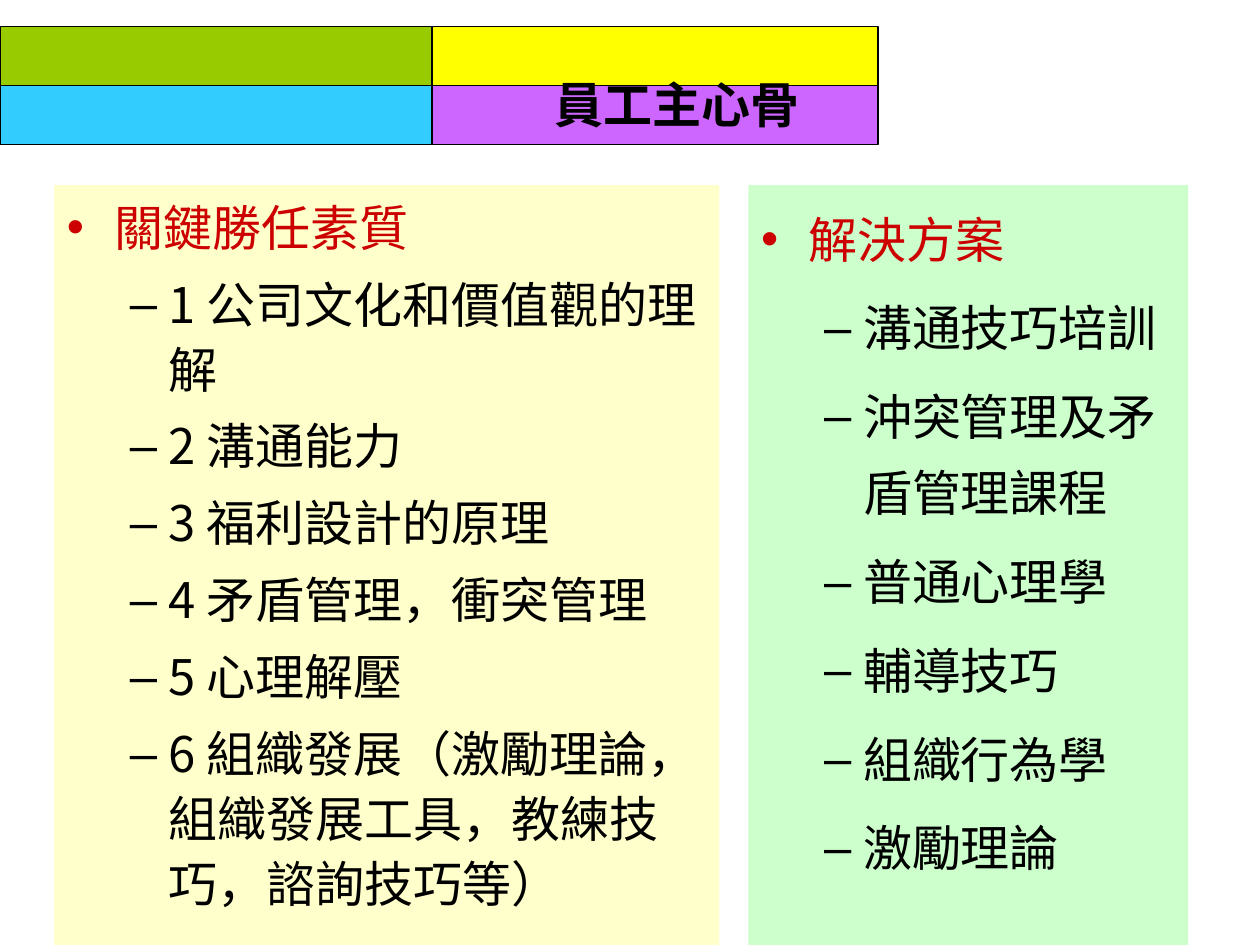
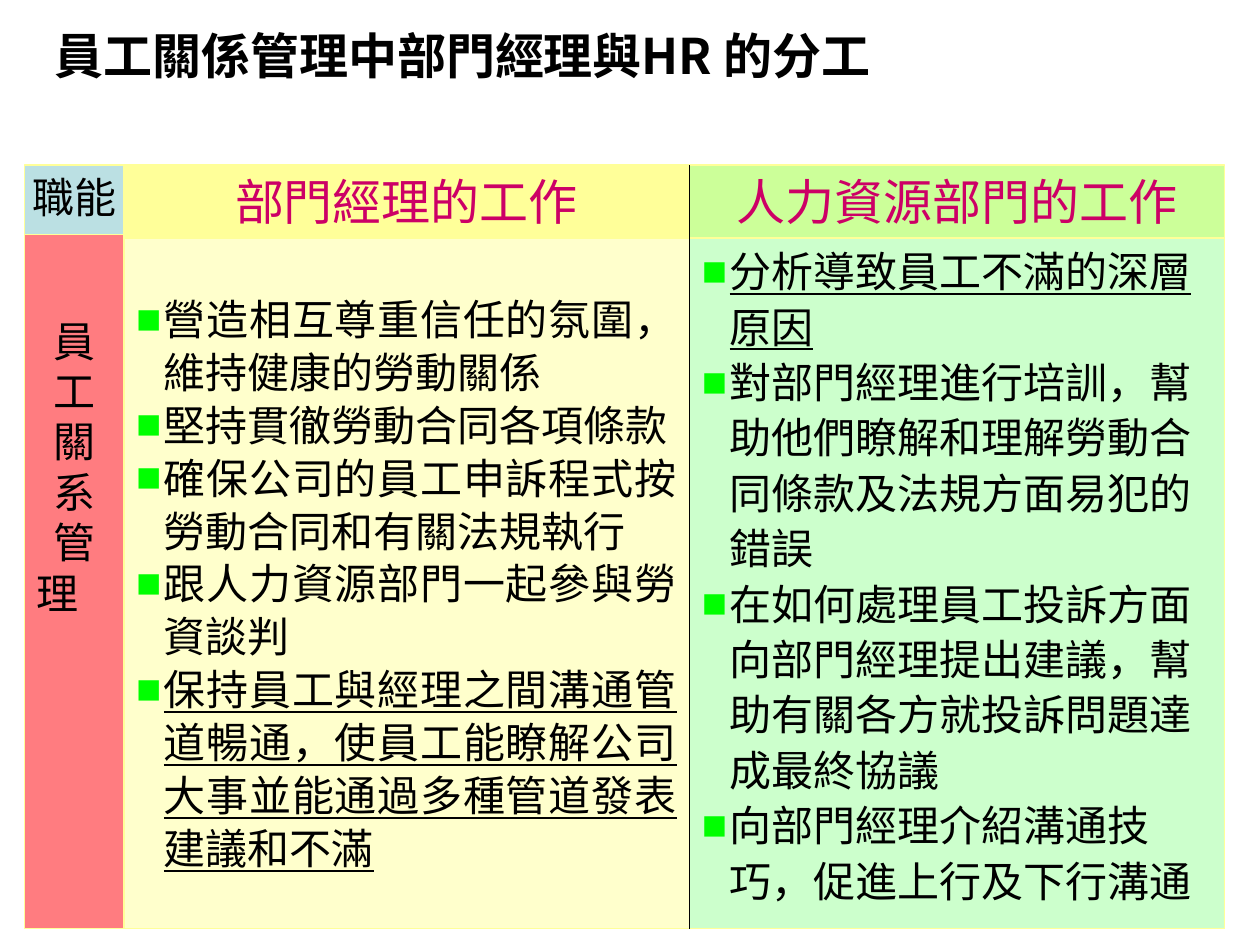
"""Build two slides on employee relations and the roles around them."""
from dataclasses import dataclass

from lxml import etree
from pptx import Presentation
from pptx.dml.color import RGBColor
from pptx.enum.shapes import MSO_CONNECTOR, MSO_SHAPE
from pptx.enum.text import MSO_ANCHOR, MSO_AUTO_SIZE, PP_ALIGN
from pptx.oxml.ns import qn
from pptx.util import Inches, Pt

RECTANGLE = MSO_SHAPE.RECTANGLE
STRAIGHT = MSO_CONNECTOR.STRAIGHT
LEFT, CENTER, JUSTIFY = PP_ALIGN.LEFT, PP_ALIGN.CENTER, PP_ALIGN.JUSTIFY
TOP, MIDDLE = MSO_ANCHOR.TOP, MSO_ANCHOR.MIDDLE
NO_AUTOSIZE = MSO_AUTO_SIZE.NONE
COLUMNS, ROWS = 100, 75
TWO_CONTENT_LAYOUT = 3


@dataclass(frozen=True)
class Theme:
    black: str = "000000"
    red: str = "CC0000"
    magenta: str = "CC0066"
    bullet_green: str = "00FF00"
    cream: str = "FFFFCC"
    mint: str = "CCFFCC"
    pale_yellow: str = "FFFF99"
    pale_lime: str = "CCFF99"
    pale_blue: str = "BBE0E3"
    coral: str = "FF7C80"
    band_green: str = "99CC00"
    band_yellow: str = "FFFF00"
    band_blue: str = "33CCFF"
    band_purple: str = "CC66FF"
    font: str = "Noto Sans CJK JP"
    list_font: str = "Noto Sans CJK SC"
    banner_font: str = "Arial"
    large: int = 28
    normal: int = 24
    line_width: float = 0.75


@dataclass(frozen=True)
class ListStyle:
    bullet: str
    color: str
    bullet_color: str
    margin: float
    hanging: float
    level: int = 0


class Deck:
    """Hold the style and the current slide, and draw each kind of element."""

    def __init__(self, theme):
        self.theme = theme
        self.presentation = Presentation()
        self.presentation.slide_width = Inches(10)
        self.presentation.slide_height = Inches(7.5)
        self.slide = None

    def new_slide(self):
        layout = self.presentation.slide_layouts[TWO_CONTENT_LAYOUT]
        self.slide = self.presentation.slides.add_slide(layout)

    def column(self, count):
        return round(self.presentation.slide_width * count / COLUMNS)

    def row(self, count):
        return round(self.presentation.slide_height * count / ROWS)

    def area(self, left, top, width, height):
        return self.column(left), self.row(top), self.column(width), self.row(height)

    def place(self, shape, area):
        shape.left, shape.top, shape.width, shape.height = self.area(*area)

    def paint(self, shape, fill, line=None):
        shape.fill.solid()
        shape.fill.fore_color.rgb = RGBColor.from_string(fill)
        if line:
            shape.line.color.rgb = RGBColor.from_string(line)
            shape.line.width = Pt(self.theme.line_width)
        else:
            shape.line.fill.background()

    def frame(self, shape, anchor=TOP, side=1, top=0.5):
        text_frame = shape.text_frame
        text_frame.auto_size = NO_AUTOSIZE
        text_frame.word_wrap = True
        text_frame.vertical_anchor = anchor
        text_frame.margin_left = text_frame.margin_right = self.column(side)
        text_frame.margin_top = self.row(top)
        text_frame.margin_bottom = self.row(0.5)
        return text_frame

    def paragraph(self, text_frame, index, align=LEFT):
        paragraph = text_frame.add_paragraph() if index else text_frame.paragraphs[0]
        paragraph.alignment = align
        paragraph.space_before = Pt(0)
        return paragraph

    def run(self, paragraph, text, size, color=None, font=None, bold=False, underline=False):
        run = paragraph.add_run()
        run.text = text
        run.font.size = Pt(size)
        run.font.bold = bold
        run.font.underline = underline
        run.font.color.rgb = RGBColor.from_string(color or self.theme.black)
        run.font.name = font or self.theme.font
        east_asian = etree.SubElement(run.font._element, qn("a:ea"))
        east_asian.set("typeface", self.theme.list_font if font == self.theme.list_font
                       else self.theme.font)

    def bullet(self, paragraph, style):
        properties = paragraph._p.get_or_add_pPr()
        properties.set("marL", str(Inches(style.margin)))
        properties.set("indent", str(-Inches(style.hanging)))
        properties.set("hangingPunct", "0")
        color = etree.SubElement(properties, qn("a:buClr"))
        etree.SubElement(color, qn("a:srgbClr")).set("val", style.bullet_color)
        etree.SubElement(properties, qn("a:buChar")).set("char", style.bullet)
        paragraph.level = style.level

    def title(self, text, area, align, font=None):
        title = self.slide.shapes.title
        self.place(title, area)
        paragraph = self.paragraph(self.frame(title, MIDDLE), 0, align)
        self.run(paragraph, text, self.theme.large, font=font, bold=True)
        return title

    def bullet_list(self, holder, area, fill, items, size, spacing, line=None, font=None,
                    align=LEFT, gap=0, top=0.5, underlined=None):
        body = self.slide.placeholders[holder]
        self.place(body, area)
        self.paint(body, fill, line)
        text_frame = self.frame(body, top=top)
        for index, (text, style) in enumerate(items):
            paragraph = self.paragraph(text_frame, index, align)
            self.bullet(paragraph, style)
            paragraph.line_spacing = spacing
            if index:
                paragraph.space_before = Pt(gap)
            self.run(paragraph, text, size, style.color, font, underline=index == underlined)

    def box(self, area, fill, line):
        shape = self.slide.shapes.add_shape(RECTANGLE, *self.area(*area))
        shape.shadow.inherit = False
        self.paint(shape, fill, line)
        return shape

    def label(self, area, fill, lines, size, color=None, side=1, top=0.5):
        shape = self.box(area, fill, self.theme.pale_yellow)
        text_frame = self.frame(shape, side=side, top=top)
        for index, (text, align) in enumerate(lines):
            self.run(self.paragraph(text_frame, index, align), text, size, color)

    def line(self, left, top, right, bottom):
        connector = self.slide.shapes.add_connector(
            STRAIGHT, self.column(left), self.row(top), self.column(right), self.row(bottom))
        connector.line.color.rgb = RGBColor.from_string(self.theme.black)
        connector.line.width = Pt(self.theme.line_width)
        etree.SubElement(connector._element.spPr, qn("a:effectLst"))


def build_backbone_slide(deck):
    theme = deck.theme
    deck.new_slide()
    heading = ListStyle("•", theme.red, theme.red, 0.38, 0.38)
    item = ListStyle("–", theme.black, theme.black, 0.81, 0.31, 1)
    panels = (
        (4.3, 52.8, theme.cream, 1.1, "關鍵勝任素質",
         ("1 公司文化和價值觀的理解", "2 溝通能力", "3 福利設計的原理",
          "4 矛盾管理，衝突管理", "5 心理解壓",
          "6 組織發展（激勵理論，組織發展工具，教練技巧，諮詢技巧等）")),
        (59.4, 34.9, theme.mint, 1.3, "解決方案",
         ("溝通技巧培訓", "沖突管理及矛盾管理課程", "普通心理學", "輔導技巧",
          "組織行為學", "激勵理論")),
    )
    for holder, (left, width, fill, spacing, head, texts) in enumerate(panels, 1):
        items = [(head, heading)] + [(text, item) for text in texts]
        deck.bullet_list(holder, (left, 14.7, width, 60.3), fill, items, theme.large,
                         spacing, font=theme.list_font, gap=7)

    band_top, band_height, split, right_width = 2.1, 4.7, 34.3, 35.4
    band_colors = ((theme.band_green, theme.band_yellow), (theme.band_blue, theme.band_purple))
    for index, (left_color, right_color) in enumerate(band_colors):
        top = band_top + index * band_height
        deck.box((0, top, split, band_height), left_color, theme.black)
        deck.box((split, top, right_width, band_height), right_color, theme.black)
    title = deck.title("員工主心骨", (43, 5.4, 23, 5.7), LEFT, theme.banner_font)
    title.element.getparent().append(title.element)


def build_division_slide(deck):
    theme = deck.theme
    deck.new_slide()
    deck.title("員工關係管理中部門經理與HR 的分工", (-8.3, -1.9, 90, 12.5), CENTER)

    header_top, body_top, bottom = 13.1, 18.6, 73.7
    header_height, body_height = 5.8, bottom - body_top
    function_left, function_width = 1.95, 7.9
    manager_left, manager_width = 9.8, 44.9
    hr_left, hr_width = 54.7, 42.5
    square = ListStyle("■", theme.black, theme.bullet_green, 0.22, 0.22)
    manager_tasks = (
        "營造相互尊重信任的氛圍，維持健康的勞動關係",
        "堅持貫徹勞動合同各項條款",
        "確保公司的員工申訴程式按勞動合同和有關法規執行",
        "跟人力資源部門一起參與勞資談判",
        "保持員工與經理之間溝通管道暢通，使員工能瞭解公司大事並能通過多種管道發表建議和不滿",
    )
    hr_tasks = (
        "分析導致員工不滿的深層原因",
        "對部門經理進行培訓，幫助他們瞭解和理解勞動合同條款及法規方面易犯的錯誤",
        "在如何處理員工投訴方面向部門經理提出建議，幫助有關各方就投訴問題達成最終協議",
        "向部門經理介紹溝通技巧，促進上行及下行溝通",
    )
    deck.bullet_list(1, (manager_left, body_top, manager_width, body_height), theme.cream,
                     [(task, square) for task in manager_tasks], theme.normal, 1.05,
                     line=theme.pale_yellow, align=JUSTIFY, top=4.5, underlined=4)
    deck.bullet_list(2, (hr_left, body_top, hr_width, body_height), theme.mint,
                     [(task, square) for task in hr_tasks], theme.normal, 1.1,
                     line=theme.pale_yellow, underlined=0)
    headers = ((hr_left, hr_width, theme.pale_lime, "人力資源部門的工作"),
               (manager_left, manager_width, theme.pale_yellow, "部門經理的工作"))
    for left, width, fill, text in headers:
        deck.label((left, header_top, width, header_height), fill, [(text, CENTER)],
                   theme.large, theme.magenta)
    function_lines = [(character, CENTER) for character in "員工關系管"] + [("理", LEFT)]
    deck.label((function_left, body_top, function_width, body_height), theme.coral,
               function_lines, theme.normal, top=6.4)
    deck.label((function_left, header_top, function_width, body_top - header_top),
               theme.pale_blue, [("職能", CENTER)], theme.normal, side=0.2)
    deck.line(hr_left, header_top, hr_left, bottom)


def main():
    deck = Deck(Theme())
    build_backbone_slide(deck)
    build_division_slide(deck)
    deck.presentation.save("out.pptx")


if __name__ == "__main__":
    main()
